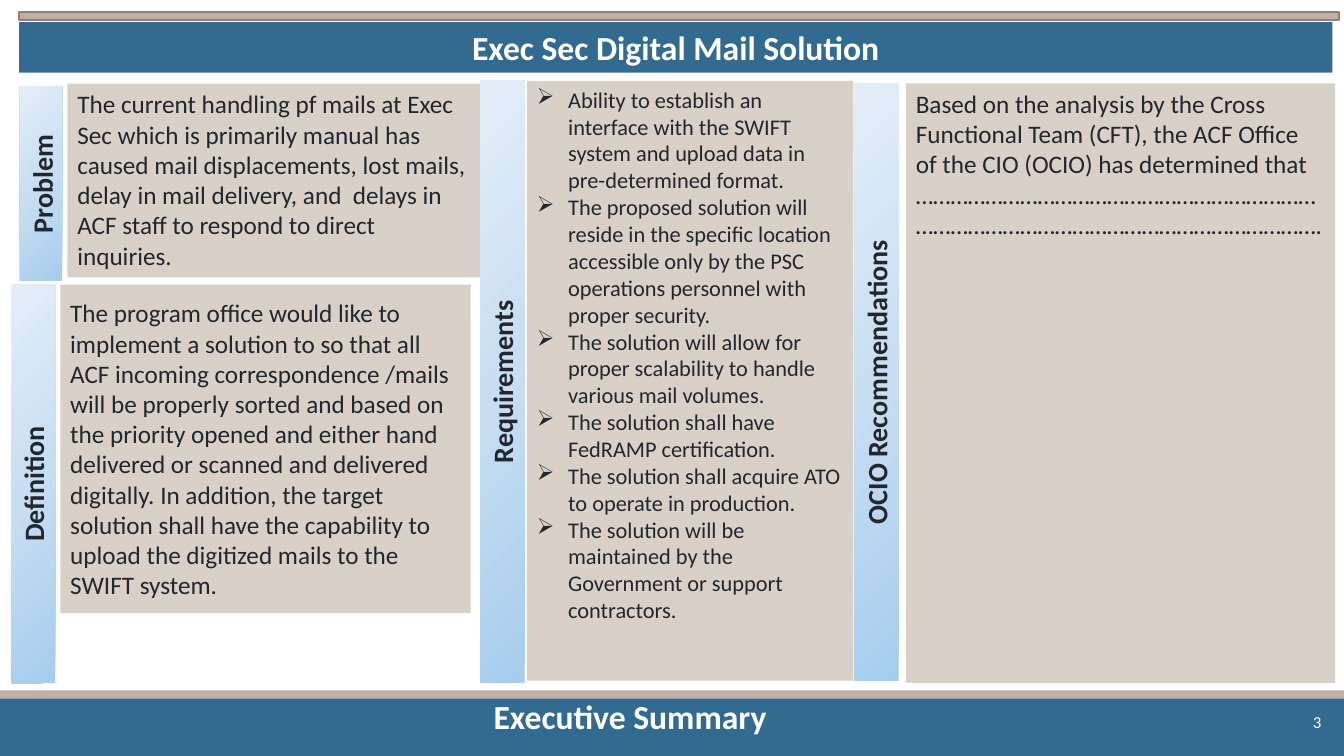
import copy

import pptx
import pptx.dml.color
import pptx.enum.shapes
import pptx.enum.text
import pptx.oxml
import pptx.oxml.ns
import pptx.util

Cm = pptx.util.Cm
Pt = pptx.util.Pt
ALIGN = pptx.enum.text.PP_ALIGN
ANCHOR = pptx.enum.text.MSO_ANCHOR

WIDTH, HEIGHT = 33.87, 19.05
BLUE, TAUPE, SAND = "336A90", "BFB0A3", "D9D0C8"
INK, WHITE, TAUPE_EDGE = "21272D", "FFFFFF", "8D8279"
LABEL_GRADIENT = [(0, "A6CDED"), (0.5, "C8DEF3"), (1, "E4EEF8")]

PROBLEM = (
    "The current handling pf mails at Exec Sec which is primarily manual has caused "
    "mail displacements, lost mails, delay in mail delivery, and  delays in ACF staff "
    "to respond to direct inquiries."
)
DEFINITION = (
    "The program office would like to implement a solution to so that all ACF incoming "
    "correspondence /mails will be properly sorted and based on the priority opened and "
    "either hand delivered or scanned and delivered digitally. In addition, the target "
    "solution shall have the capability to upload the digitized mails to the SWIFT system."
)
REQUIREMENTS = [
    "Ability to establish an interface with the SWIFT system and upload data in "
    "pre-determined format.",
    "The proposed solution will reside in the specific location accessible only by the "
    "PSC operations personnel with proper security.",
    "The solution will allow for proper scalability to handle various mail volumes.",
    "The solution shall have FedRAMP certification.",
    "The solution shall acquire ATO to operate in production.",
    "The solution will be maintained by the Government or support contractors.",
]
RECOMMENDATION = (
    "Based on the analysis by the Cross Functional Team (CFT), the ACF Office of the CIO "
    "(OCIO) has determined that "
    "…………………………………………………………………………………………………………………………."
)


def color(hex_string):
    return pptx.dml.color.RGBColor.from_string(hex_string)


def add_box(slide, box, fill, line=None):
    """Plain rectangle; box is left, top, width, height in centimetres."""
    shape = slide.shapes.add_shape(
        pptx.enum.shapes.MSO_SHAPE.RECTANGLE, *(Cm(length) for length in box))
    shape.shadow.inherit = False
    shape.fill.solid()
    shape.fill.fore_color.rgb = color(fill)
    if line:
        shape.line.color.rgb = color(line)
        shape.line.width = Pt(1.25)
    else:
        shape.line.fill.background()
    return shape


def write(shape, texts, size, ink=INK, bold=False, align=ALIGN.LEFT, anchor=ANCHOR.TOP):
    frame = shape.text_frame
    frame.word_wrap = True
    frame.vertical_anchor = anchor
    for index, text in enumerate(texts):
        paragraph = frame.add_paragraph() if index else frame.paragraphs[0]
        paragraph.alignment = align
        run = paragraph.add_run()
        run.text = text
        run.font.name = "Calibri"
        run.font.size = Pt(size)
        run.font.bold = bold
        run.font.color.rgb = color(ink)
    return frame


def add_bullets(frame, indent):
    for paragraph in frame.paragraphs:
        properties = paragraph._p.get_or_add_pPr()
        properties.set("marL", str(Cm(indent)))
        properties.set("indent", str(-Cm(indent)))
        bullet = pptx.oxml.parse_xml(
            f'<a:buChar {pptx.oxml.ns.nsdecls("a")} char="➢"/>')
        properties.append(bullet)


def fill_gradient(shape):
    shape.fill.gradient()
    shape.fill.gradient_angle = 45
    stop_list = shape.fill._xPr.find(".//" + pptx.oxml.ns.qn("a:gsLst"))
    stop_list.insert(1, copy.deepcopy(stop_list[0]))
    for stop, (position, hex_string) in zip(shape.fill.gradient_stops, LABEL_GRADIENT):
        stop.position = position
        stop.color.rgb = color(hex_string)


def add_label(slide, box, text):
    """Upright label: a flat rectangle turned a quarter to fill the given box."""
    left, top, width, height = box
    offset = (height - width) / 2
    shape = add_box(slide, (left - offset, top + offset, height, width), SAND)
    shape.rotation = 270
    fill_gradient(shape)
    write(shape, [text], 20, bold=True, align=ALIGN.CENTER)


def add_panel(slide, box, texts, size=18, anchor=ANCHOR.TOP):
    return write(add_box(slide, box, SAND), texts, size, anchor=anchor)


def add_header(slide, box):
    left, top, width, height = box
    add_box(slide, (left, top + 0.26, width - 0.17, height - 0.26), BLUE)
    write(slide.shapes[-1], ["Exec Sec Digital Mail Solution"], 24, WHITE, True,
          ALIGN.CENTER)
    add_box(slide, (left, top, width, 0.2), TAUPE, TAUPE_EDGE)


def add_footer(slide, box):
    left, top, width, height = box
    add_box(slide, (left, top + 0.2, width, height - 0.2), BLUE)
    add_box(slide, (left, top, width, 0.2), TAUPE)
    title = slide.shapes.add_textbox(Cm(left + 12.19), Cm(top), Cm(8.03), Cm(1.27))
    write(title, ["Executive Summary"], 24, WHITE, True)
    number = slide.shapes.add_textbox(
        Cm(left + width - 7.94), Cm(top + 0.41), Cm(7.62), Cm(1.02))
    write(number, ["3"], 12, WHITE, align=ALIGN.RIGHT)


def add_background_column(slide, box):
    """Problem above definition."""
    left, top, width, height = box
    add_label(slide, (left + 0.22, top + 0.07, 1.07, 4.9), "Problem")
    add_panel(slide, (left + 1.42, top, width - 1.42, 4.88), [PROBLEM])
    add_panel(slide, (left + 1.24, top + 5.06, 10.34, 8.28), [DEFINITION],
              anchor=ANCHOR.MIDDLE)
    add_label(slide, (left, top + 5.06, 1.12, height - 5.06), "Definition")


def add_requirements_column(slide, box):
    left, top, width, height = box
    add_label(slide, (left, top, 1.12, height), "Requirements")
    frame = add_panel(slide, (left + 1.18, top, width - 1.18, height - 0.05),
                      REQUIREMENTS, 16)
    add_bullets(frame, 0.79)


def add_recommendations_column(slide, box):
    left, top, width, height = box
    add_label(slide, (left, top, 1.12, height - 0.05), "OCIO Recommendations")
    frame = add_panel(slide, (left + 1.3, top, width - 1.3, height), [RECOMMENDATION])
    frame.paragraphs[0].space_after = Pt(12)


def main():
    presentation = pptx.Presentation()
    presentation.slide_width = Cm(WIDTH)
    presentation.slide_height = Cm(HEIGHT)
    slide = presentation.slides.add_slide(presentation.slide_layouts[6])

    add_footer(slide, (0, 17.4, WIDTH, HEIGHT - 17.4))
    add_background_column(slide, (0.28, 2.11, 11.91, 15.11))
    add_requirements_column(slide, (12.1, 2.04, 9.41, 15.16))
    add_recommendations_column(slide, (21.53, 2.1, 12.12, 15.11))
    add_header(slide, (0.48, 0.3, 33.27, 1.53))

    presentation.save("out.pptx")


if __name__ == "__main__":
    main()
